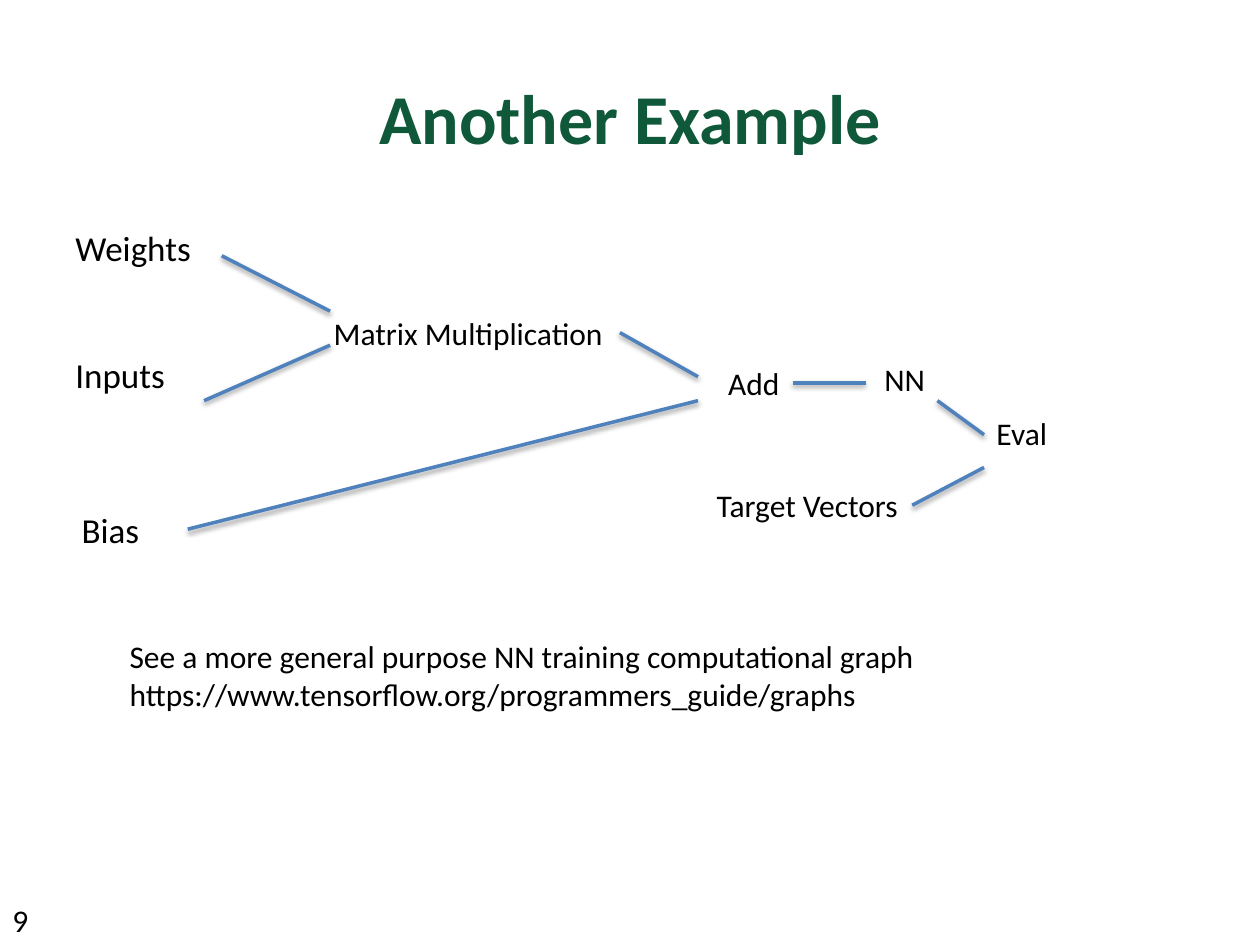
from dataclasses import dataclass

from lxml.etree import SubElement
from pptx import Presentation
from pptx.dml.color import RGBColor
from pptx.enum.shapes import MSO_CONNECTOR as Connector
from pptx.enum.text import MSO_ANCHOR as Anchor, PP_ALIGN as Align
from pptx.oxml.ns import qn
from pptx.util import Inches, Pt

COLORS = {"title": "0F583A", "text": "000000", "edge": "4F81BD", "shadow": "000000"}
FONT = "Calibri"


@dataclass
class Label:
    lines: tuple[str, ...]
    left: float
    top: float
    width: float
    height: float = 0.4
    size: float = 18
    color: str = "text"
    bold: bool = False
    wrap: bool = True
    align: Align = Align.LEFT
    anchor: Anchor = Anchor.TOP
    gap: float = 0  # points between paragraphs


@dataclass
class Edge:
    start: tuple[float, float]
    end: tuple[float, float]


LABELS = [
    Label(("Another Example",), 0.5, 0.3, 9, 1.25, size=40, color="title",
          bold=True, align=Align.CENTER, anchor=Anchor.MIDDLE),
    Label(("Weights", "Inputs"), 0.5, 1.75, 9, 4.95, size=20, gap=48.7),
    Label(("9",), 0, 7.1, 2.33),
    Label(("Matrix Multiplication",), 2.55, 2.44, 2.36, wrap=False),
    Label(("Bias",), 0.55, 3.99, 0.93, 0.44, size=20),
    Label(("Add",), 5.68, 2.84, 0.61, wrap=False),
    Label(("NN",), 6.92, 2.81, 0.65),
    Label(("Target Vectors",), 5.59, 3.81, 1.66, wrap=False),
    Label(("Eval",), 7.81, 3.24, 0.61, wrap=False),
    Label(("See a more general purpose NN training computational graph",
           "https://www.tensorflow.org/programmers_guide/graphs"),
          0.93, 5.01, 7.18, 0.71),
]

EDGES = [
    Edge((1.76, 2.03), (2.62, 2.47)),  # Weights to Matrix Multiplication
    Edge((1.62, 3.18), (2.62, 2.74)),  # Inputs to Matrix Multiplication
    Edge((1.49, 4.2), (5.54, 3.18)),   # Bias to Add
    Edge((4.92, 2.64), (5.54, 2.99)),  # Matrix Multiplication to Add
    Edge((6.29, 3.04), (6.87, 3.04)),  # Add to NN
    Edge((7.44, 3.18), (7.81, 3.45)),  # NN to Eval
    Edge((7.24, 4.01), (7.81, 3.71)),  # Target Vectors to Eval
]


def draw_label(page, label: Label) -> None:
    box = page.shapes.add_textbox(Inches(label.left), Inches(label.top),
                                  Inches(label.width), Inches(label.height))
    frame = box.text_frame
    frame.word_wrap = label.wrap
    frame.vertical_anchor = label.anchor
    for index, line in enumerate(label.lines):
        para = frame.add_paragraph() if index else frame.paragraphs[0]
        para.alignment = label.align
        para.space_before = Pt(label.gap if index else 0)
        span = para.add_run()
        span.text = line
        span.font.name = FONT
        span.font.size = Pt(label.size)
        span.font.bold = label.bold
        span.font.color.rgb = RGBColor.from_string(COLORS[label.color])


def add_soft_shadow(connector) -> None:
    """Give a connector a faint shadow falling straight down."""
    effects = SubElement(connector._element.spPr, qn("a:effectLst"))
    shadow = SubElement(effects, qn("a:outerShdw"), blurRad=str(Pt(3.1)),
                        dist=str(Pt(1.6)), dir="5400000", rotWithShape="0")
    color = SubElement(shadow, qn("a:srgbClr"), val=COLORS["shadow"])
    SubElement(color, qn("a:alpha"), val="38000")


def draw_edge(page, edge: Edge) -> None:
    points = [Inches(value) for value in (*edge.start, *edge.end)]
    connector = page.shapes.add_connector(Connector.STRAIGHT, *points)
    connector.line.color.rgb = RGBColor.from_string(COLORS["edge"])
    connector.line.width = Pt(2)
    add_soft_shadow(connector)


def main() -> None:
    deck = Presentation()
    deck.slide_width, deck.slide_height = Inches(10), Inches(7.5)
    page = deck.slides.add_slide(deck.slide_layouts[6])
    for label in LABELS:
        draw_label(page, label)
    for edge in EDGES:
        draw_edge(page, edge)
    deck.save("out.pptx")


if __name__ == "__main__":
    main()
